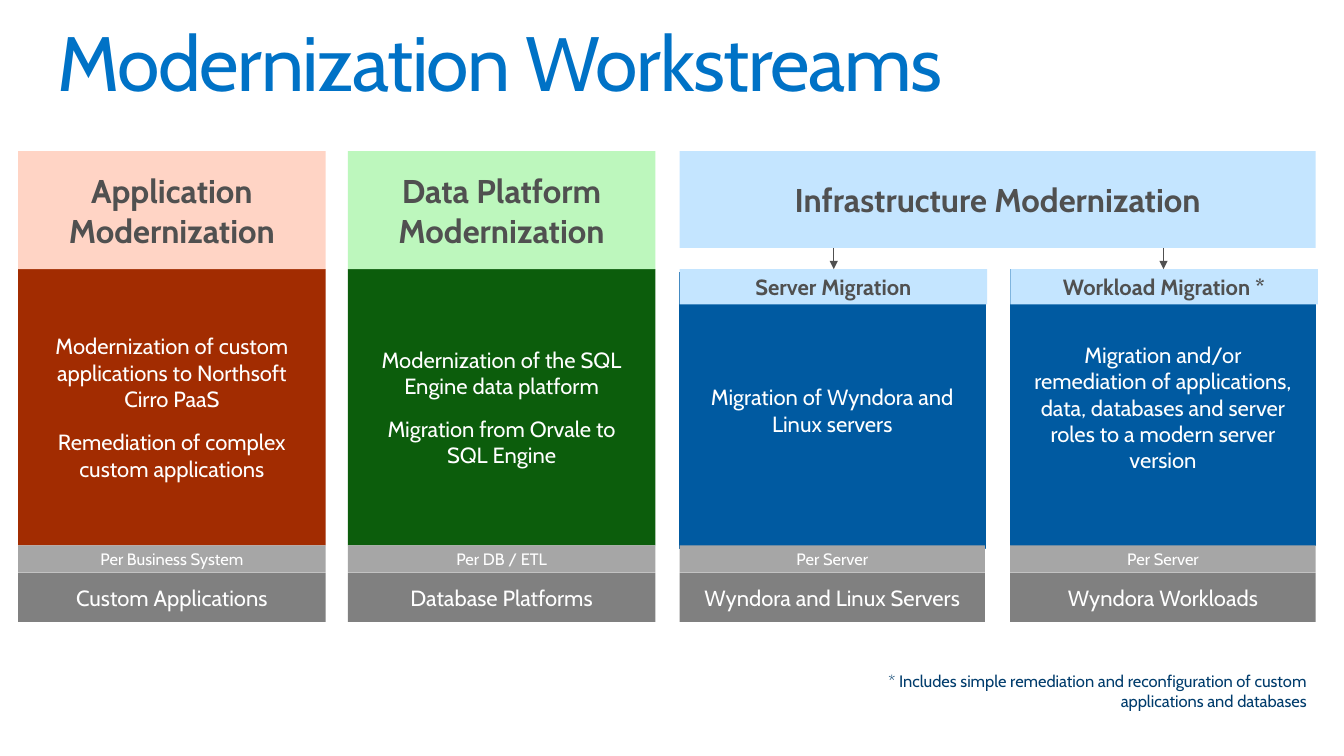
from lxml import etree
from pptx import Presentation
from pptx.dml.color import RGBColor
from pptx.enum.shapes import MSO_CONNECTOR, MSO_SHAPE
from pptx.enum.text import MSO_ANCHOR, MSO_AUTO_SIZE, PP_ALIGN
from pptx.oxml.ns import qn
from pptx.util import Inches, Pt

RECT, STRAIGHT = MSO_SHAPE.RECTANGLE, MSO_CONNECTOR.STRAIGHT
TOP, MIDDLE = MSO_ANCHOR.TOP, MSO_ANCHOR.MIDDLE
LEFT, CENTER, RIGHT = PP_ALIGN.LEFT, PP_ALIGN.CENTER, PP_ALIGN.RIGHT

# Content
TITLE = "Modernization Workstreams"
FOOTNOTE = ("* Includes simple remediation and reconfiguration of custom "
            "applications and databases")
INFRASTRUCTURE = "Infrastructure Modernization"
STREAMS = [
    {"head": "Application Modernization", "tint": "peach", "fill": "rust",
     "body": ["Modernization of custom applications to Northsoft Cirro PaaS",
              "Remediation of complex custom applications"],
     "unit": "Per Business System", "scope": "Custom Applications"},
    {"head": "Data Platform Modernization", "tint": "mint", "fill": "green",
     "body": ["Modernization of the SQL Engine data platform",
              "Migration from Orvale to SQL Engine"],
     "unit": "Per DB / ETL", "scope": "Database Platforms"},
    {"head": "Server Migration", "tint": "sky", "fill": "blue",
     "body": ["Migration of Wyndora and Linux servers"],
     "unit": "Per Server", "scope": "Wyndora and Linux Servers"},
    {"head": "Workload Migration *", "tint": "sky", "fill": "blue",
     "body": ["Migration and/or remediation of applications, data, databases "
              "and server roles to a modern server version"],
     "unit": "Per Server", "scope": "Wyndora Workloads"},
]

# Style
FONT = "Cabin"
COLORS = {"title": "0072C6", "peach": "FFD4C5", "mint": "BDF7BD", "sky": "C4E5FF",
          "rust": "A22C01", "green": "0C5D0C", "blue": "005AA1", "unit": "A6A6A6",
          "scope": "808080", "dark": "505050", "white": "FFFFFF", "navy": "003C6C"}
BIG, MEDIUM, SMALL = 23.5, 15.7, 11.8

# Layout in inches
COLUMN_LEFTS = [0.18, 3.45, 6.74, 10.02]
COLUMN_W = 3.05
HEAD_TOP, BODY_TOP, UNIT_TOP, SCOPE_TOP, BOTTOM = 1.5, 2.67, 5.41, 5.68, 6.17
SUBHEAD_H, GROUP_H = 0.35, 0.96
GROUP_W = 6.31
ARROW_XS = [8.27, 11.54]


def rgb(name):
    return RGBColor.from_string(COLORS[name])


def write(sp, paragraphs, size, color, bold=False, align=CENTER,
          anchor=MIDDLE, margins=(0.1, 0.05)):
    tf = sp.text_frame
    side, edge = (Inches(m) for m in margins)
    frame_format = {"word_wrap": True, "auto_size": MSO_AUTO_SIZE.NONE,
                    "vertical_anchor": anchor, "margin_left": side,
                    "margin_right": side, "margin_top": edge, "margin_bottom": edge}
    for name, value in frame_format.items():
        setattr(tf, name, value)
    for i, text in enumerate(paragraphs):
        p = tf.add_paragraph() if i else tf.paragraphs[0]
        p.alignment = align
        p.space_before = Pt(SMALL if i else 0)
        r = p.add_run()
        r.text = text
        for name, value in {"name": FONT, "size": Pt(size), "bold": bold}.items():
            setattr(r.font, name, value)
        r.font.color.rgb = rgb(color)
    return tf.paragraphs[0]


def add_box(s, box, fill, paragraphs, size, color="white", **text_format):
    sp = s.shapes.add_shape(RECT, *map(Inches, box))
    sp.shadow.inherit = False
    sp.fill.solid()
    sp.fill.fore_color.rgb = rgb(fill)
    sp.line.fill.background()
    write(sp, paragraphs, size, color, **text_format)
    return sp


def add_arrow(s, x):
    arrow = s.shapes.add_connector(STRAIGHT, Inches(x), Inches(HEAD_TOP + GROUP_H),
                                   Inches(x), Inches(BODY_TOP))
    arrow.line.color.rgb = rgb("dark")
    arrow.line.width = Pt(0.75)
    etree.SubElement(arrow.line._get_or_add_ln(), qn("a:tailEnd"), type="triangle")
    etree.SubElement(arrow._element.spPr, qn("a:effectLst"))


def add_stream(s, left, stream):
    in_group = stream["fill"] == "blue"

    # Description, outlined in the infrastructure columns
    width = COLUMN_W - 0.02 if in_group else COLUMN_W
    top = 2.7 if stream["head"] == "Server Migration" else BODY_TOP
    body = add_box(s, (left, top, width, UNIT_TOP - BODY_TOP), stream["fill"],
                   stream["body"], MEDIUM, margins=(0.2, 0.15))
    if in_group:
        body.line.color.rgb = rgb(stream["fill"])
        body.line.width = Pt(0.75)

    # Heading
    head_top = BODY_TOP if in_group else HEAD_TOP
    head_h = SUBHEAD_H if in_group else BODY_TOP - HEAD_TOP
    add_box(s, (left, head_top, COLUMN_W, head_h), stream["tint"], [stream["head"]],
            MEDIUM if in_group else BIG, "dark", bold=True)

    # Scope and unit
    add_box(s, (left, SCOPE_TOP, width, BOTTOM - SCOPE_TOP), "scope",
            [stream["scope"]], MEDIUM)
    add_box(s, (left, UNIT_TOP, width, SCOPE_TOP - UNIT_TOP), "unit",
            [stream["unit"]], SMALL)


def main():
    prs = Presentation()
    prs.slide_width, prs.slide_height = Inches(13.33), Inches(7.5)
    s = prs.slides.add_slide(prs.slide_layouts[5])

    # Title
    title = s.shapes.title
    title.left, title.top, title.width, title.height = map(
        Inches, (0.57, 0.25, 12.2, 0.82))
    p = write(title, [TITLE], 55, "title", align=LEFT, anchor=TOP, margins=(0, 0))
    p.line_spacing = 0.9
    p.runs[0].font._element.set("spc", "-100")

    # Workstreams
    for left, stream in zip(COLUMN_LEFTS, STREAMS):
        add_stream(s, left, stream)

    # Infrastructure group
    add_box(s, (COLUMN_LEFTS[2], HEAD_TOP, GROUP_W, GROUP_H), "sky",
            [INFRASTRUCTURE], BIG, "dark", bold=True)
    for x in ARROW_XS:
        add_arrow(s, x)

    # Footnote
    note = s.shapes.add_textbox(*map(Inches, (8.52, 6.61, 4.54, 0.49)))
    write(note, [FOOTNOTE], SMALL, "navy", align=RIGHT, anchor=TOP)

    prs.save("out.pptx")


if __name__ == "__main__":
    main()
